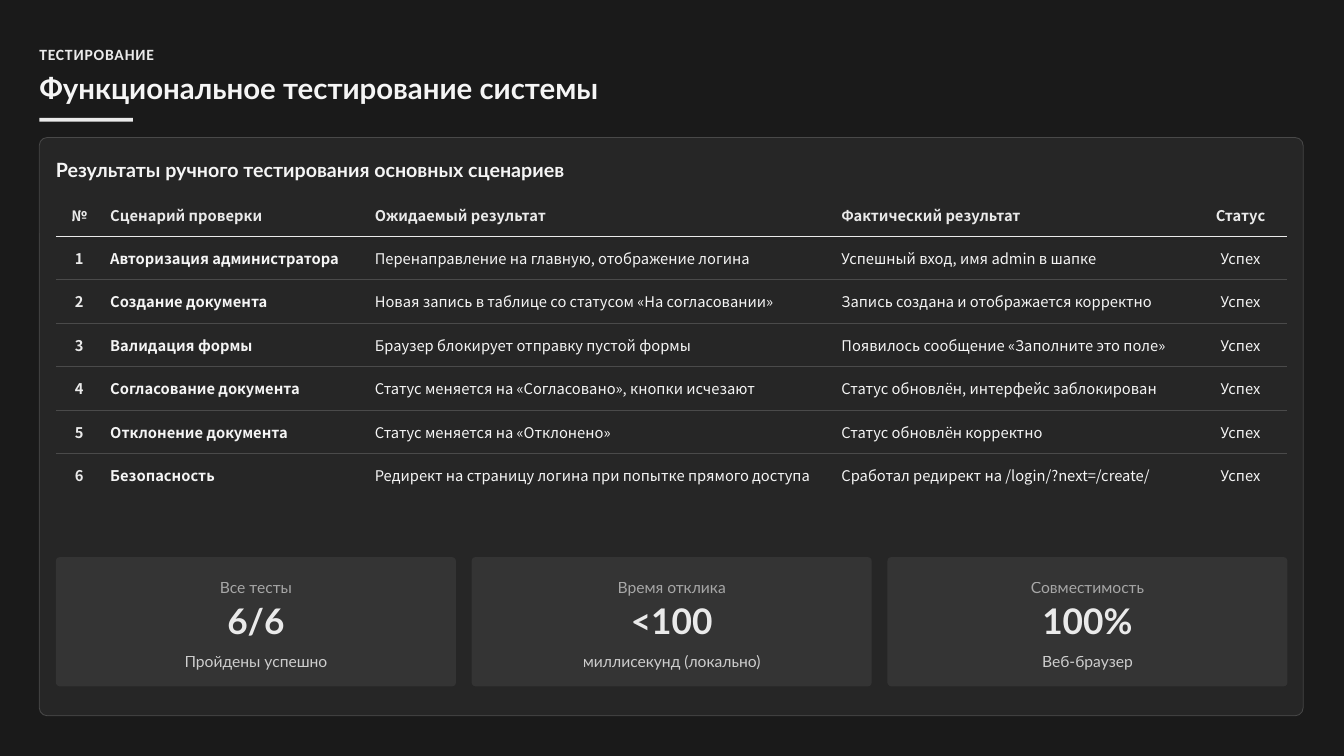
from dataclasses import dataclass

from lxml.etree import SubElement
from pptx import Presentation
from pptx.dml.color import RGBColor
from pptx.enum.shapes import MSO_SHAPE
from pptx.enum.text import MSO_ANCHOR, MSO_AUTO_SIZE, PP_ALIGN
from pptx.oxml.ns import qn
from pptx.util import Cm, Pt

DARK = RGBColor(0x1A, 0x1A, 0x1A)
PANEL = RGBColor(0x33, 0x33, 0x33)
GREY = RGBColor(0x4A, 0x4A, 0x4A)
LIGHT = RGBColor(0xEA, 0xEA, 0xEA)
WHITE = RGBColor(0xF5, 0xF5, 0xF5)

LEFT, INNER = 1.32, 1.88
WIDTHS = [1.57, 8.89, 15.68, 12.09, 3.15]
ROW = 1.46
HEADS = ["№", "Сценарий проверки", "Ожидаемый результат", "Фактический результат", "Статус"]
TESTS = [
    ("Авторизация администратора", "Перенаправление на главную, отображение логина",
     "Успешный вход, имя admin в шапке"),
    ("Создание документа", "Новая запись в таблице со статусом «На согласовании»",
     "Запись создана и отображается корректно"),
    ("Валидация формы", "Браузер блокирует отправку пустой формы",
     "Появилось сообщение «Заполните это поле»"),
    ("Согласование документа", "Статус меняется на «Согласовано», кнопки исчезают",
     "Статус обновлён, интерфейс заблокирован"),
    ("Отклонение документа", "Статус меняется на «Отклонено»", "Статус обновлён корректно"),
    ("Безопасность", "Редирект на страницу логина при попытке прямого доступа",
     "Сработал редирект на /login/?next=/create/"),
]


@dataclass
class Style:
    size: float
    color: RGBColor = WHITE
    bold: bool = False
    font: str = "Lato"
    space: float = 1.0
    align: PP_ALIGN = PP_ALIGN.LEFT
    alpha: int = 100


@dataclass
class Card:
    label: str
    value: str
    note: str


CARDS = [
    Card("Все тесты", "6/6", "Пройдены успешно"),
    Card("Время отклика", "<100", "миллисекунд (локально)"),
    Card("Совместимость", "100%", "Веб-браузер"),
]
LABEL = Style(14.9, space=1.3, align=PP_ALIGN.CENTER, alpha=60)
VALUE = Style(33.6, LIGHT, True, space=0.9, align=PP_ALIGN.CENTER)
NOTE = Style(14.9, space=1.3, align=PP_ALIGN.CENTER, alpha=80)


def fade(node, alpha: int) -> None:
    color = next(node.iter(qn("a:srgbClr")))
    SubElement(color, qn("a:alpha"), val=str(alpha * 1000))


def format_text(frame, style: Style) -> None:
    para = frame.paragraphs[0]
    para.alignment = style.align
    para.line_spacing = style.space
    run = para.runs[0]
    run.font.size = Pt(style.size)
    run.font.name = style.font
    run.font.bold = style.bold
    run.font.color.rgb = style.color
    if style.alpha < 100:
        fade(run.font._element, style.alpha)


def place_text(shape, text: str, style: Style) -> None:
    frame = shape.text_frame
    frame.text = text
    frame.word_wrap = True
    frame.auto_size = MSO_AUTO_SIZE.NONE
    frame.vertical_anchor = MSO_ANCHOR.MIDDLE
    frame.margin_left = frame.margin_right = frame.margin_top = frame.margin_bottom = 0
    format_text(frame, style)


def add_text(slide, x: float, y: float, w: float, h: float, text: str, style: Style):
    box = slide.shapes.add_textbox(Cm(x), Cm(y), Cm(w), Cm(h))
    place_text(box, text, style)
    return box


def add_panel(slide, x: float, y: float, w: float, h: float,
              color: RGBColor, alpha: int = 100, curve: float = 0):
    kind = MSO_SHAPE.ROUNDED_RECTANGLE if curve else MSO_SHAPE.RECTANGLE
    shape = slide.shapes.add_shape(kind, Cm(x), Cm(y), Cm(w), Cm(h))
    if curve:
        shape.adjustments[0] = curve / h
    shape.shadow.inherit = False
    shape.fill.solid()
    shape.fill.fore_color.rgb = color
    shape.line.fill.background()
    if alpha < 100:
        fade(shape._element.spPr, alpha)
    return shape


def add_edge(cell, side: str, color: RGBColor | None = None, width: float = 0) -> None:
    edge = SubElement(cell._tc.get_or_add_tcPr(), qn(f"a:ln{side}"), w=str(Pt(width)))
    if color is None:
        SubElement(edge, qn("a:noFill"))
    else:
        fill = SubElement(edge, qn("a:solidFill"))
        SubElement(fill, qn("a:srgbClr"), val=str(color))


def add_tests(slide) -> None:
    rows = [HEADS] + [[str(num), *test, "Успех"] for num, test in enumerate(TESTS, 1)]
    last = len(rows) - 1
    edges = [(None, 0), (LIGHT, 1.6)] + [(GREY, 0.8)] * (last - 1) + [(None, 0)]
    table = slide.shapes.add_table(len(rows), len(HEADS), Cm(INNER), Cm(6.48),
                                   Cm(sum(WIDTHS)), Cm(ROW * len(rows))).table
    for col, width in zip(table.columns, WIDTHS):
        col.width = Cm(width)
    for r, texts in enumerate(rows):
        table.rows[r].height = Cm(ROW)
        for c, text in enumerate(texts):
            cell = table.cell(r, c)
            cell.text_frame.text = text
            cell.vertical_anchor = MSO_ANCHOR.MIDDLE
            format_text(cell.text_frame, Style(
                14, LIGHT if r == 0 or c == 0 else WHITE, r == 0 or c < 2,
                "Noto Sans CJK SC",
                align=PP_ALIGN.CENTER if c in (0, 4) else PP_ALIGN.LEFT))
            add_edge(cell, "L")
            add_edge(cell, "R")
            add_edge(cell, "T", *edges[r])
            add_edge(cell, "B", *edges[r + 1])
            cell.fill.background()


def add_card(slide, x: float, card: Card) -> None:
    add_panel(slide, x, 18.72, 13.44, 4.34, GREY, 40, 0.13)
    add_text(slide, x + 0.39, 19.25, 12.66, 0.79, card.label, LABEL)
    add_text(slide, x + 0.23, 20.29, 12.98, 1.32, card.value, VALUE)
    add_text(slide, x + 0.39, 21.74, 12.66, 0.79, card.note, NOTE)


def main() -> None:
    deck = Presentation()
    deck.slide_width, deck.slide_height = Cm(45.16), Cm(25.4)
    slide = deck.slides.add_slide(deck.slide_layouts[5])
    slide.background.fill.solid()
    slide.background.fill.fore_color.rgb = DARK

    topic = add_text(slide, LEFT, 1.32, 42.77, 0.79, "ТЕСТИРОВАНИЕ",
                     Style(14.9, LIGHT, True, "Calibri", 1.3))
    topic.text_frame.paragraphs[0].runs[0].font._element.set("spc", "80")
    title = slide.shapes.title
    title.left, title.top, title.width, title.height = Cm(LEFT), Cm(2.36), Cm(43), Cm(1.19)
    place_text(title, "Функциональное тестирование системы", Style(28, bold=True))
    add_panel(slide, LEFT, 3.96, 3.15, 0.13, LIGHT)

    panel = add_panel(slide, LEFT, 4.62, 42.47, 19.43, PANEL, 50, 0.27)
    panel.line.color.rgb = LIGHT
    panel.line.width = Pt(0.8)
    fade(panel._element.spPr.find(qn("a:ln")), 20)
    add_text(slide, INNER, 5.16, 41.73, 0.91,
             "Результаты ручного тестирования основных сценариев",
             Style(18.7, bold=True, space=1.2))
    add_tests(slide)
    for i, card in enumerate(CARDS):
        add_card(slide, INNER + i * 13.97, card)
    deck.save("out.pptx")


if __name__ == "__main__":
    main()
